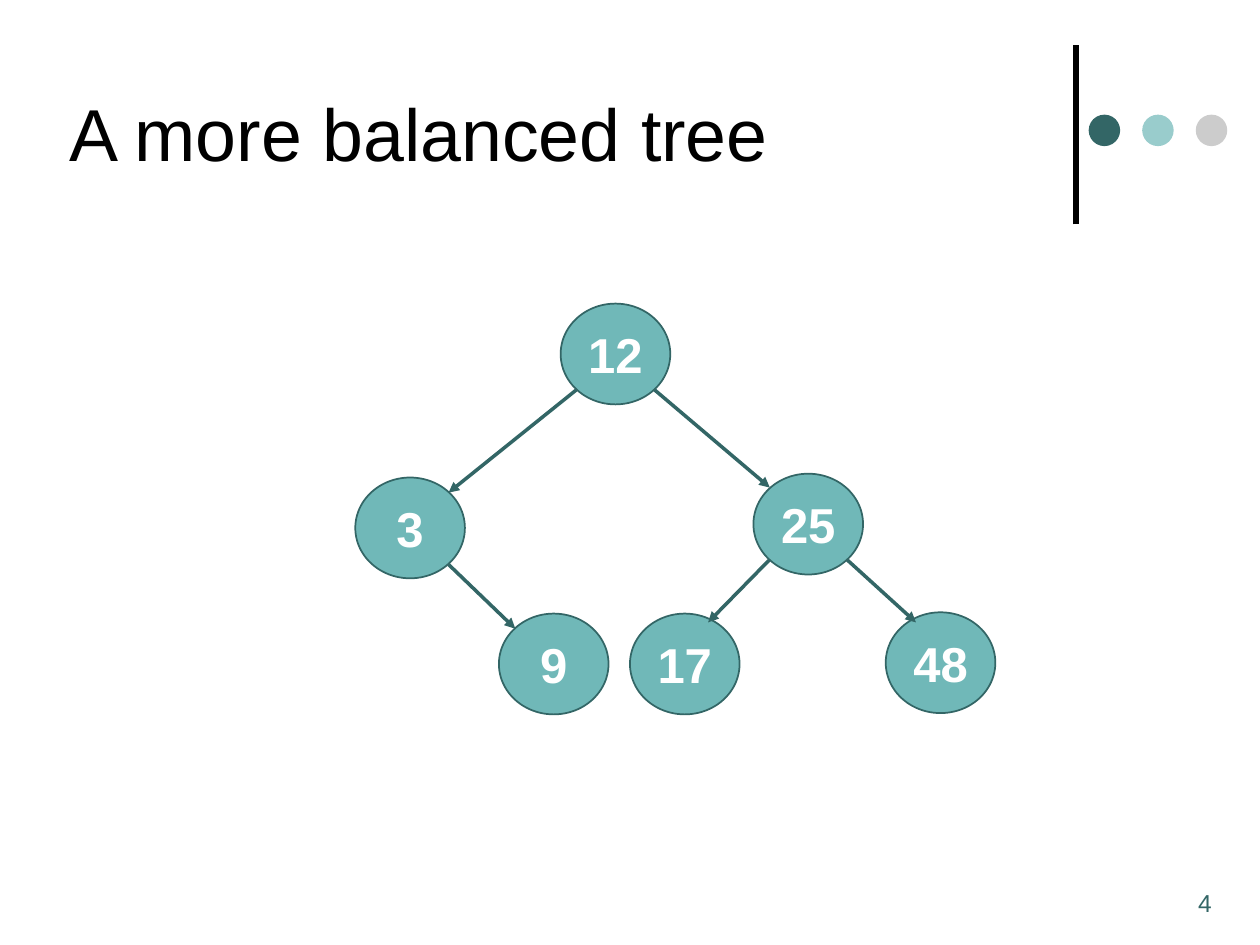
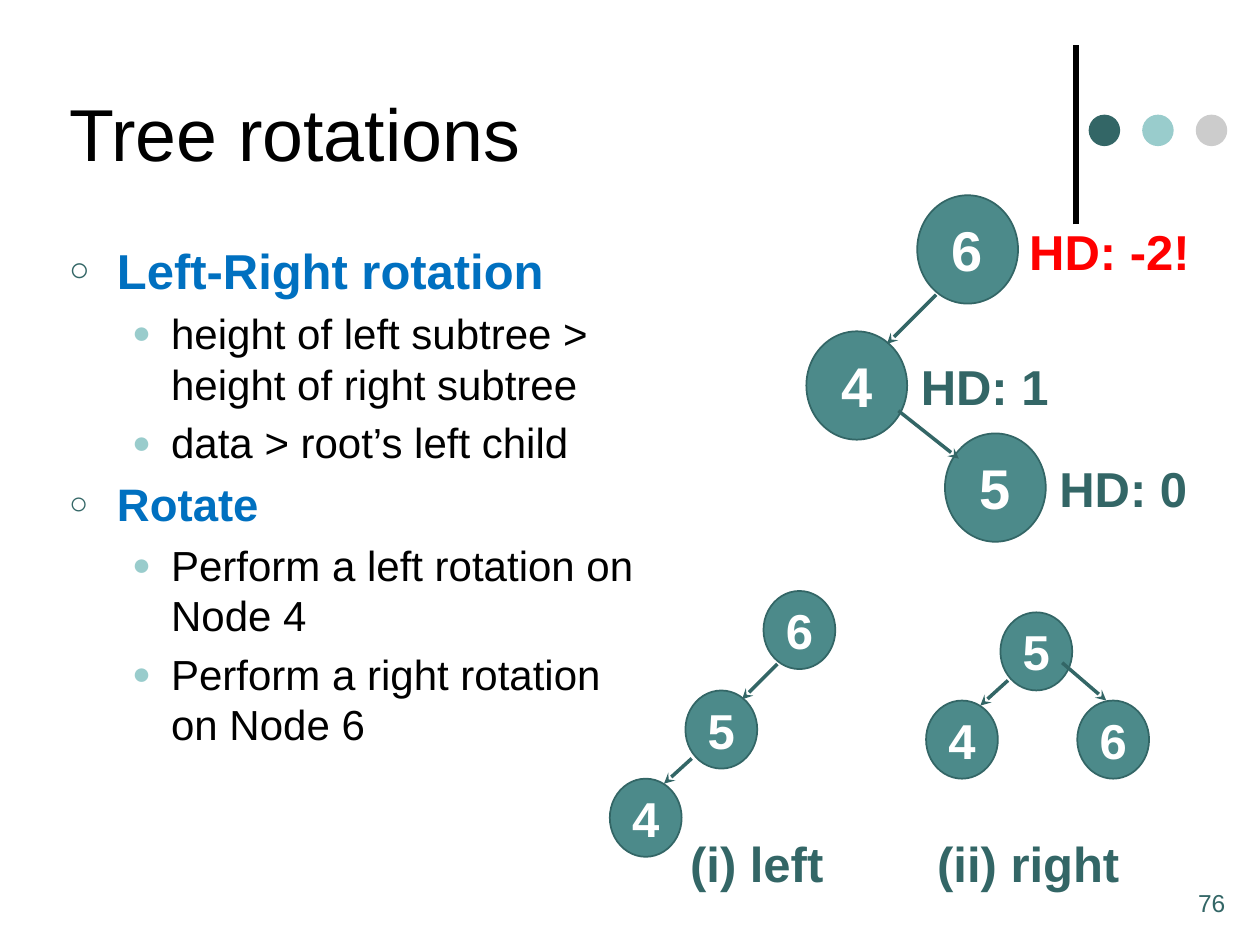
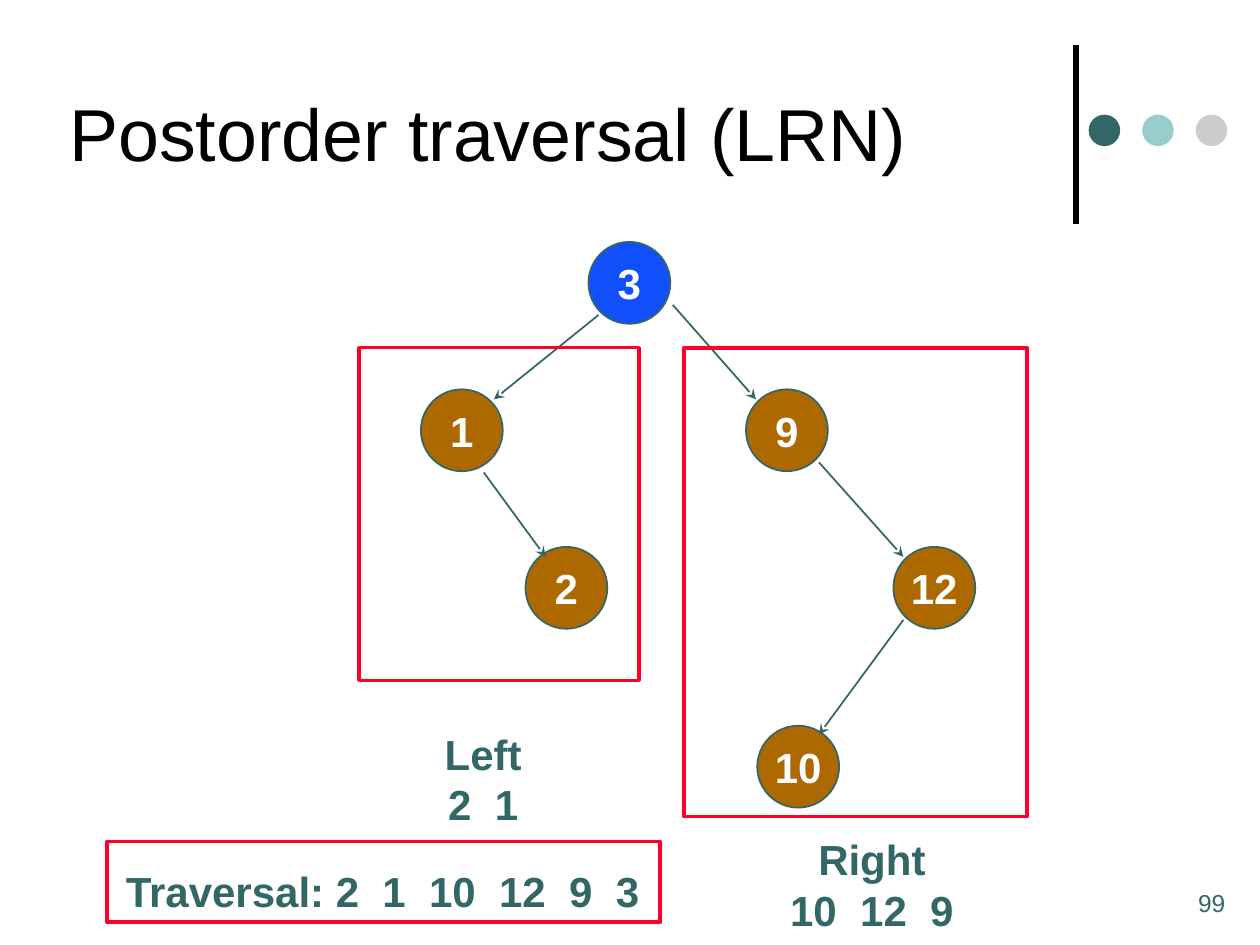
from lxml import etree
from pptx import Presentation
from pptx.dml.color import RGBColor
from pptx.enum import shapes, text
from pptx.oxml import ns
from pptx.util import Inches, Pt

COLORS = {
    "black": "000000", "white": "FFFFFF", "teal": "336666", "aqua": "99CCCC",
    "gray": "CCCCCC", "light_node": "70B8B8", "dark_node": "4C8A8A",
    "root_blue": "114FFB", "brown": "AD6900", "frame_red": "FC0128",
    "alert_red": "FF0000", "heading_blue": "0070C0",
}
FONT = "Arial"


def rgb(name):
    return RGBColor.from_string(COLORS[name])


def add_xml(parent, tag, **attributes):
    return etree.SubElement(parent, ns.qn(tag), attributes)


class Deck:
    """Holds the shared style and the slide being built."""

    def __init__(self):
        self.prs = Presentation()
        self.prs.slide_width, self.prs.slide_height = Inches(10), Inches(7.5)
        self.slide = None

    def new_slide(self, title, number):
        self.slide = self.prs.slides.add_slide(self.prs.slide_layouts[5])
        # Rule and three dots at the top right
        self.line((8.54, 1.78), (8.54, 0.36), "black", 3)
        for i, color in enumerate(("teal", "aqua", "gray")):
            self.shape((8.64 + 0.425 * i, 0.91, 0.25, 0.25), fill=color)
        # Title and slide number
        heading = self.slide.shapes.title
        self.place(heading, (0.45, 0.21, 7.67, 1.67))
        frame = heading.text_frame
        frame.text = title
        frame.auto_size = text.MSO_AUTO_SIZE.NONE
        frame.vertical_anchor = text.MSO_ANCHOR.MIDDLE
        frame.paragraphs[0].alignment = text.PP_ALIGN.LEFT
        self.font(frame.paragraphs[0], 42, "black", False)
        self.label((9.41, 7, 0.59, 0.5), str(number), 14, bold=False)

    def place(self, shape, box):
        shape.left, shape.top, shape.width, shape.height = map(Inches, box)

    def font(self, paragraph, size, color, bold=True):
        font = paragraph.font
        font.name, font.size, font.bold = FONT, Pt(size), bold
        font.color.rgb = rgb(color)

    def shape(self, box, kind=shapes.MSO_SHAPE.OVAL, fill=None, line=None, width=1):
        shape = self.slide.shapes.add_shape(kind, *map(Inches, box))
        shape.shadow.inherit = False
        if fill:
            shape.fill.solid()
            shape.fill.fore_color.rgb = rgb(fill)
        else:
            shape.fill.background()
        if line:
            shape.line.color.rgb = rgb(line)
            shape.line.width = Pt(width)
        else:
            shape.line.fill.background()
        return shape

    def frame(self, box):
        self.shape(box, shapes.MSO_SHAPE.RECTANGLE, line="frame_red", width=2)

    def node(self, value, box, fill, size):
        frame = self.shape(box, fill=fill, line="teal").text_frame
        frame.text = str(value)
        frame.word_wrap = False
        frame.vertical_anchor = text.MSO_ANCHOR.MIDDLE
        frame.paragraphs[0].alignment = text.PP_ALIGN.CENTER
        self.font(frame.paragraphs[0], size, "white")

    def line(self, start, end, color="teal", width=1, head=None):
        line = self.slide.shapes.add_connector(
            shapes.MSO_CONNECTOR.STRAIGHT, *map(Inches, start + end))
        line.line.color.rgb = rgb(color)
        line.line.width = Pt(width)
        if head:
            add_xml(line.line._get_or_add_ln(), "a:tailEnd", type=head)
        add_xml(line._element.spPr, "a:effectLst")

    def tree(self, nodes, edges, node_size, fill, font_size, width, head):
        """Nodes are (value, left, top); edges are (start, end)."""
        for value, left, top in nodes:
            self.node(value, (left, top) + node_size, fill, font_size)
        for start, end in edges:
            self.line(start, end, width=width, head=head)

    def label(self, box, words, size, color="teal", bold=True, centered=False):
        label = self.slide.shapes.add_textbox(*map(Inches, box))
        frame = label.text_frame
        frame.word_wrap = False
        frame.text = words
        for paragraph in frame.paragraphs:
            if centered:
                paragraph.alignment = text.PP_ALIGN.CENTER
            self.font(paragraph, size, color, bold)

    def outline(self, box, items):
        """Items are (level, size, words)."""
        frame = self.slide.shapes.add_textbox(*map(Inches, box)).text_frame
        frame.word_wrap = True
        levels = (("○", "teal", 70, 0.38, 0.38, "heading_blue"),
                  ("●", "aqua", 75, 0.81, 0.31, "black"))
        for i, (level, size, words) in enumerate(items):
            mark, mark_color, scale, indent, hang, color = levels[level]
            paragraph = frame.add_paragraph() if i else frame.paragraphs[0]
            paragraph.text = words
            paragraph.level = level
            if i:
                paragraph.space_before = Pt(0.2 * size)
            props = paragraph._p.get_or_add_pPr()
            props.set("marL", str(Inches(indent)))
            props.set("indent", str(-Inches(hang)))
            add_xml(add_xml(props, "a:buClr"), "a:srgbClr", val=COLORS[mark_color])
            add_xml(props, "a:buSzPct", val=str(scale * 1000))
            add_xml(props, "a:buFont", typeface=FONT)
            add_xml(props, "a:buChar", char=mark)
            self.font(paragraph, size, color, bold=level == 0)


def balanced_tree(deck):
    deck.new_slide("A more balanced tree", 4)
    deck.tree(
        [(12, 4.45, 2.41), (3, 2.82, 3.79), (9, 3.96, 4.87),
         (17, 5, 4.87), (25, 5.98, 3.76), (48, 7.03, 4.86)],
        [((5.19, 3.09), (6.11, 3.87)), ((4.58, 3.09), (3.56, 3.91)),
         ((3.56, 4.48), (4.09, 4.99)), ((6.11, 4.44), (5.62, 4.94)),
         ((6.72, 4.44), (7.27, 4.94))],
        (0.87, 0.8), "light_node", 28, 2, "triangle")


def tree_rotations(deck):
    deck.new_slide("Tree rotations", 76)
    deck.outline((0.45, 1.86, 4.81, 5.42), [
        (0, 28, "Left-Right rotation"),
        (1, 24, "height of left subtree > height of right subtree"),
        (1, 24, "data > root’s left child"),
        (0, 26, "Rotate"),
        (1, 24, "Perform a left rotation on Node 4"),
        (1, 24, "Perform a right rotation on Node 6"),
    ])
    # Unbalanced tree with its height differences
    deck.tree(
        [(5, 7.5, 3.44), (6, 7.28, 1.55), (4, 6.4, 2.63)],
        [((7.13, 3.26), (7.61, 3.64)), ((7.43, 2.34), (7.04, 2.73))],
        (0.8, 0.86), "dark_node", 32, 2, "stealth")
    deck.label((8.31, 3.59, 1.23, 0.57), "HD: 0", 28)
    deck.label((7.21, 2.78, 1.23, 0.57), "HD: 1", 28)
    deck.label((8.07, 1.71, 1.49, 0.57), "HD: -2!", 28, "alert_red")
    # Trees after the left and the right rotation
    after_left = (
        [(4, 4.84, 6.18), (6, 6.06, 4.69), (5, 5.44, 5.48)],
        [((5.49, 6.02), (5.27, 6.22)), ((6.17, 5.27), (5.89, 5.55))])
    after_right = (
        [(4, 7.35, 5.56), (6, 8.55, 5.56), (5, 7.94, 4.86)],
        [((8, 5.4), (7.78, 5.6)), ((8.43, 5.26), (8.78, 5.56))])
    for nodes, edges in (after_left, after_right):
        deck.tree(nodes, edges, (0.57, 0.62), "dark_node", 28, 2, "stealth")
    deck.label((5.38, 6.57, 1.27, 0.57), "(i) left", 28)
    deck.label((7.34, 6.57, 1.66, 0.57), "(ii) right", 28)


def postorder_traversal(deck):
    deck.new_slide("Postorder traversal (LRN)", 99)
    node_size = (0.65, 0.65)
    deck.node(3, (4.67, 1.92) + node_size, "root_blue", 24)
    deck.tree(
        [(1, 3.34, 3.09), (9, 5.92, 3.09), (12, 7.09, 4.34),
         (2, 4.17, 4.34), (10, 6.01, 5.76)],
        [((4.75, 2.5), (3.92, 3.17)), ((5.34, 2.42), (6, 3.17)),
         ((6.5, 3.67), (7.17, 4.42)), ((3.84, 3.75), (4.33, 4.42)),
         ((7.17, 4.92), (6.5, 5.83))],
        node_size, "brown", 24, 1, "stealth")
    # Subtrees and the resulting order
    deck.frame((2.85, 2.76, 2.22, 2.64))
    deck.label((3.43, 5.73, 0.81, 0.9), "Left\n2  1", 24, centered=True)
    deck.frame((5.43, 2.76, 2.72, 3.72))
    deck.label((6.17, 6.57, 1.5, 0.9), "Right\n10  12  9", 24, centered=True)
    deck.label((0.9, 6.82, 4.3, 0.5), "Traversal: 2  1  10  12  9  3", 24)
    deck.frame((0.85, 6.68, 4.39, 0.64))


def main():
    deck = Deck()
    balanced_tree(deck)
    tree_rotations(deck)
    postorder_traversal(deck)
    deck.prs.save("out.pptx")


if __name__ == "__main__":
    main()
